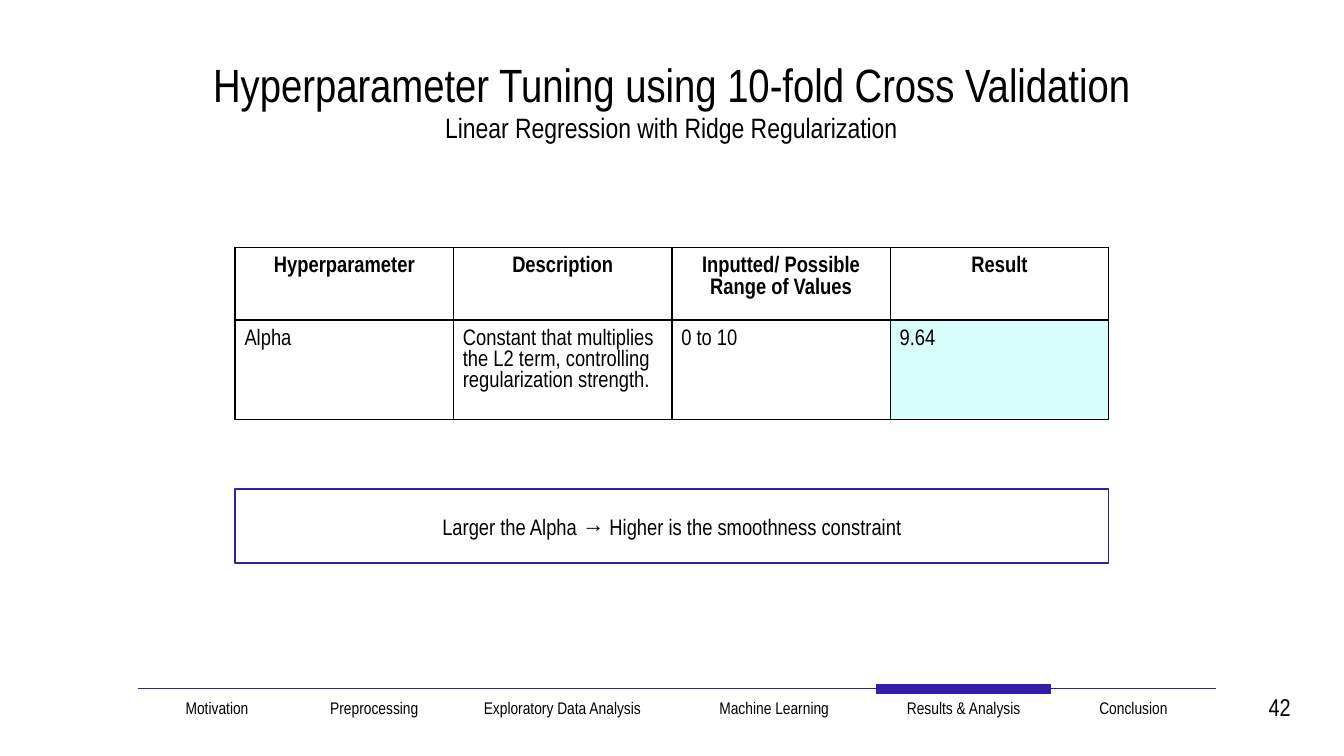
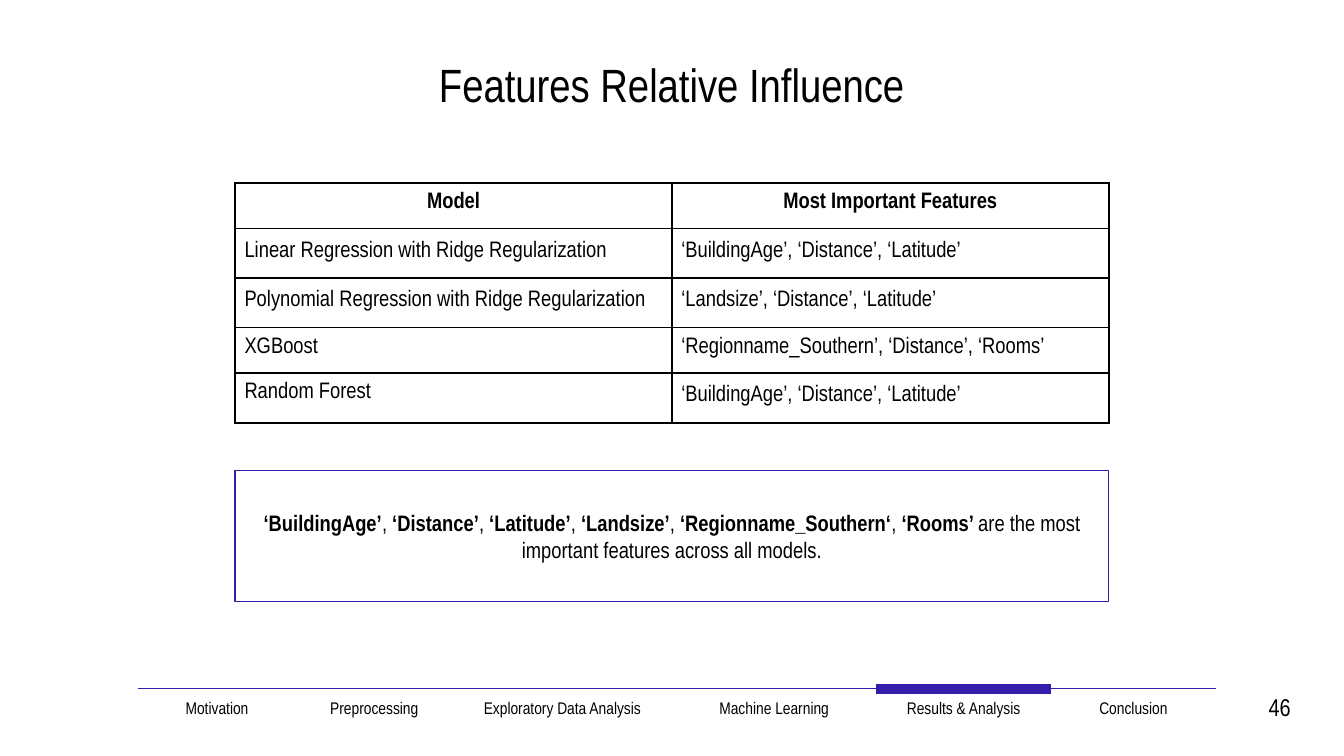
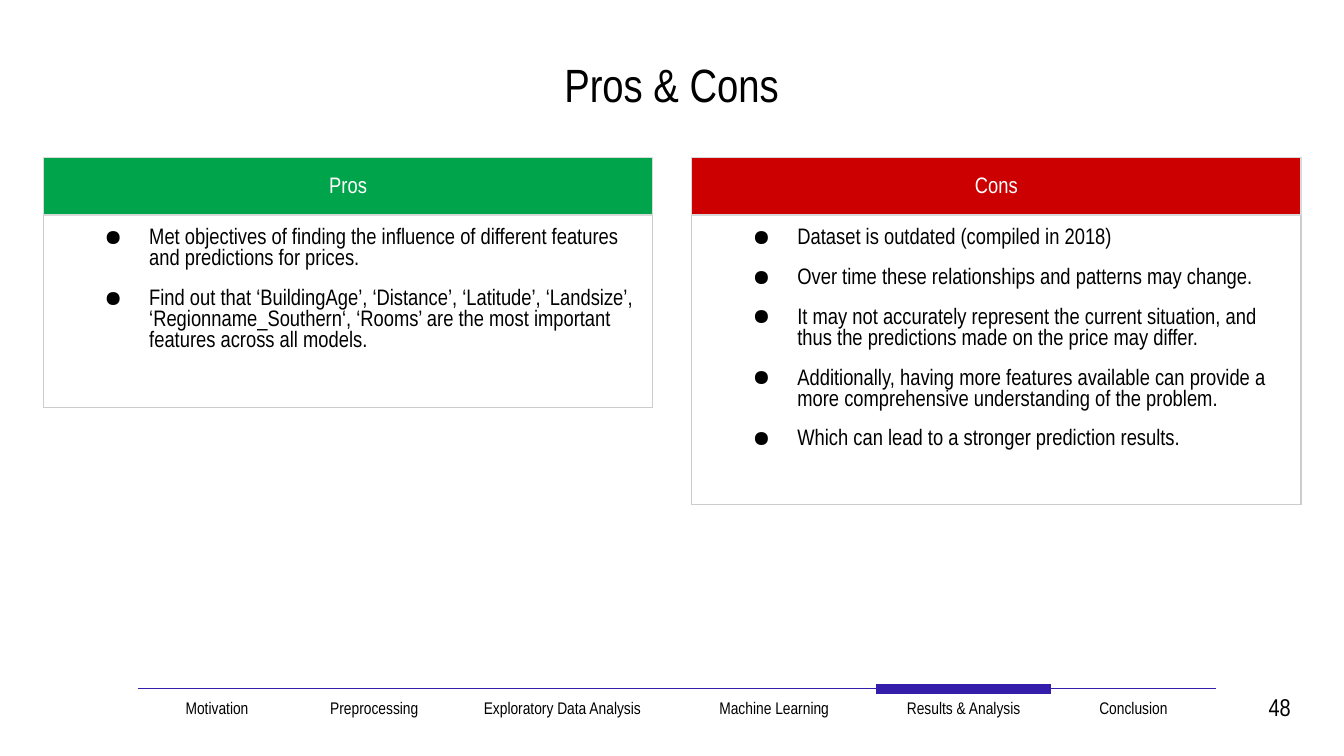
from lxml.etree import SubElement
from pptx import Presentation
from pptx.dml.color import RGBColor
from pptx.enum.shapes import MSO_SHAPE
from pptx.enum.text import MSO_ANCHOR, PP_ALIGN
from pptx.oxml.ns import qn
from pptx.util import Pt

COLORS = {
    "ink": "000000",
    "white": "FFFFFF",
    "accent": "351DAB",
    "result": "A0FDF1",
    "pros": "00A44A",
    "cons": "CC0000",
    "grid": "D9D9D9",
    "edge": "CCCCCC",
}
FONT = "Arial Narrow"
NO_STYLE = "{2D5ABB26-0587-4C30-8999-92F81FD0307C}"
SECTIONS = {
    "Motivation": 85,
    "Preprocessing": 83.5,
    "Exploratory Data Analysis": 118,
    "Machine Learning": 109,
    "Results & Analysis": 94,
    "Conclusion": 88,
}
CURRENT_SECTION = "Results & Analysis"
CONTENT_LEFT, CONTENT_WIDTH = 126, 468


def rgb(name):
    return RGBColor.from_string(COLORS[name])


def add_bullet(para):
    properties = para._p.get_or_add_pPr()
    properties.set("marL", str(Pt(49.5)))
    properties.set("indent", str(Pt(-24)))
    color = SubElement(properties, qn("a:buClr"))
    SubElement(color, qn("a:srgbClr"), val=COLORS["ink"])
    SubElement(properties, qn("a:buChar"), char="●")


def write_text(frame, text, size=12, color="ink", bold=False, align=PP_ALIGN.LEFT,
               spacing=None, bullets=False, gap=0, after=0):
    """Each line is a paragraph; ** switches bold on and off."""
    lines = text.split("\n")
    for number, line in enumerate(lines):
        para = frame.paragraphs[0] if number == 0 else frame.add_paragraph()
        para.alignment = align
        if spacing:
            para.line_spacing = spacing
        if number and gap:
            para.space_before = Pt(gap)
        if after and number == len(lines) - 1:
            para.space_after = Pt(after)
        if bullets:
            add_bullet(para)
        for index, part in enumerate(line.split("**")):
            if part:
                span = para.add_run()
                span.text = part
                span.font.name = FONT
                span.font.size = Pt(size)
                span.font.bold = bold or index % 2 == 1
                span.font.color.rgb = rgb(color)


def set_margins(target, margin):
    target.margin_left = target.margin_right = Pt(margin)
    target.margin_top = target.margin_bottom = Pt(margin)


def add_text(page, text, left, top, width, height, **style):
    box = page.shapes.add_textbox(Pt(left), Pt(top), Pt(width), Pt(height))
    box.text_frame.word_wrap = True
    set_margins(box.text_frame, 7.2)
    write_text(box.text_frame, text, **style)


def add_grid(page, left, top, widths, heights):
    frame = page.shapes.add_table(len(heights), len(widths), Pt(left), Pt(top),
                                  Pt(sum(widths)), Pt(sum(heights)))
    table = frame.table
    table.first_row = table.horz_banding = False
    table._tbl.tblPr.find(qn("a:tableStyleId")).text = NO_STYLE
    for column, width in zip(table.columns, widths):
        column.width = Pt(width)
    for row, height in zip(table.rows, heights):
        row.height = Pt(height)
    return table


def set_borders(cell, color, width, sides="LRTB"):
    properties = cell._tc.get_or_add_tcPr()
    for side in sides:
        line = SubElement(properties, qn(f"a:ln{side}"), w=str(Pt(width)))
        fill = SubElement(line, qn("a:solidFill"))
        SubElement(fill, qn("a:srgbClr"), val=COLORS[color])


def fill_cell(cell, text, margin=7.2, fill=None, alpha=None, **style):
    set_margins(cell, margin)
    if fill:
        cell.fill.solid()
        cell.fill.fore_color.rgb = rgb(fill)
        if alpha:
            tint = cell._tc.tcPr.find(qn("a:solidFill"))[0]
            SubElement(tint, qn("a:alpha"), val=str(alpha * 1000))
    else:
        cell.fill.background()
    write_text(cell.text_frame, text, **style)


def add_data_table(page, top, heights, rows, loose=(), highlight=None):
    count = len(rows[0])
    table = add_grid(page, CONTENT_LEFT, top, [CONTENT_WIDTH / count] * count, heights)
    for r, row in enumerate(rows):
        for c, text in enumerate(row):
            cell = table.cell(r, c)
            set_borders(cell, "ink", 1)
            marked = (r, c) == highlight
            fill_cell(cell, text, margin=5, bold=r == 0,
                      align=PP_ALIGN.LEFT if r else PP_ALIGN.CENTER,
                      spacing=1.15 if (r, c) in loose else None,
                      fill="result" if marked else None, alpha=42 if marked else None)


def add_callout(page, text, top, height):
    box = page.shapes.add_shape(MSO_SHAPE.RECTANGLE, Pt(CONTENT_LEFT), Pt(top),
                                Pt(CONTENT_WIDTH), Pt(height))
    box.shadow.inherit = False
    box.fill.background()
    box.line.color.rgb = rgb("accent")
    box.line.width = Pt(0.75)
    frame = box.text_frame
    frame.word_wrap = True
    frame.vertical_anchor = MSO_ANCHOR.MIDDLE
    set_margins(frame, 7.2)
    write_text(frame, text, align=PP_ALIGN.CENTER)


def add_verdict(page, left, heading, color, points, height, after=0):
    table = add_grid(page, left, 84.25, [256.5, 70], [27.4, height])
    for r in range(2):
        table.cell(r, 0).merge(table.cell(r, 1))
    for c in range(2):
        set_borders(table.cell(0, c), "grid", 0.75)
        set_borders(table.cell(1, c), "edge", 0.75, "LR")
        set_borders(table.cell(1, c), "grid", 0.75, "T")
        set_borders(table.cell(1, c), "edge", 0.75, "B")
    header = table.cell(0, 0)
    header.vertical_anchor = MSO_ANCHOR.MIDDLE
    fill_cell(header, heading, fill=color, color="white", align=PP_ALIGN.CENTER,
              spacing=1.15)
    fill_cell(table.cell(1, 0), "\n".join(points), bullets=True, gap=10, after=after)


def add_navigation(page):
    table = add_grid(page, 73.75, 369, list(SECTIONS.values()), [36])
    for cell, section in zip(table.iter_cells(), SECTIONS):
        set_borders(cell, "accent", 6 if section == CURRENT_SECTION else 0.75, "T")
        fill_cell(cell, section, size=9, align=PP_ALIGN.CENTER)


def add_page(deck, title, number):
    page = deck.slides.add_slide(deck.slide_layouts[6])
    add_navigation(page)
    add_text(page, str(number), 666, 363.5, 32.5, 36, size=13, align=PP_ALIGN.RIGHT)
    add_text(page, title, 40.5, 23, 638.5, 45, size=25, align=PP_ALIGN.CENTER)
    return page


def add_tuning_page(deck):
    page = add_page(deck, "Hyperparameter Tuning using 10-fold Cross Validation", 42)
    add_text(page, "Linear Regression with Ridge Regularization", 40.5, 52, 638.5, 32.5,
             size=15, align=PP_ALIGN.CENTER)
    add_data_table(page, 132.5, [39, 53], [
        ["Hyperparameter", "Description", "Inputted/ Possible Range of Values", "Result"],
        ["Alpha", "Constant that multiplies the L2 term, controlling regularization strength.",
         "0 to 10", "9.64"],
    ], highlight=(1, 3))
    add_callout(page, "Larger the Alpha → Higher is the smoothness constraint", 262, 39.75)


def add_influence_page(deck):
    page = add_page(deck, "Features Relative Influence", 46)
    add_data_table(page, 98, [21.3, 22.9, 22.9, 21.3, 22.9], [
        ["Model", "Most Important Features"],
        ["Linear Regression with Ridge Regularization", "‘BuildingAge’, ‘Distance’, ‘Latitude’"],
        ["Polynomial Regression with Ridge Regularization", "‘Landsize’, ‘Distance’, ‘Latitude’"],
        ["XGBoost", "‘Regionname_Southern’, ‘Distance’, ‘Rooms’"],
        ["Random Forest", "‘BuildingAge’, ‘Distance’, ‘Latitude’"],
    ], loose={(1, 0), (1, 1), (2, 0), (2, 1), (4, 1)})
    add_callout(page, "**‘BuildingAge’**, **‘Distance’**, **‘Latitude’**, **‘Landsize’**, "
                "**‘Regionname_Southern‘**, **‘Rooms’ **are the most important features "
                "across all models.", 252, 70.25)


def add_verdict_page(deck):
    page = add_page(deck, "Pros & Cons", 48)
    add_verdict(page, 23.25, "Pros", "pros", [
        "Met objectives of finding the influence of different features and predictions "
        "for prices.",
        "Find out that ‘BuildingAge’, ‘Distance’, ‘Latitude’, ‘Landsize’, "
        "‘Regionname_Southern‘, ‘Rooms’ are the most important features across all models.",
    ], 103)
    add_verdict(page, 370.5, "Cons", "cons", [
        "Dataset is outdated (compiled in 2018)",
        "Over time these relationships and patterns may change.",
        "It may not accurately represent the current situation, and thus the predictions "
        "made on the price may differ.",
        "Additionally, having more features available can provide a more comprehensive "
        "understanding of the problem.",
        "Which can lead to a stronger prediction results.",
    ], 133.4, after=10)


def main():
    deck = Presentation()
    deck.slide_width, deck.slide_height = Pt(720), Pt(405)
    add_tuning_page(deck)
    add_influence_page(deck)
    add_verdict_page(deck)
    deck.save("out.pptx")


if __name__ == "__main__":
    main()
